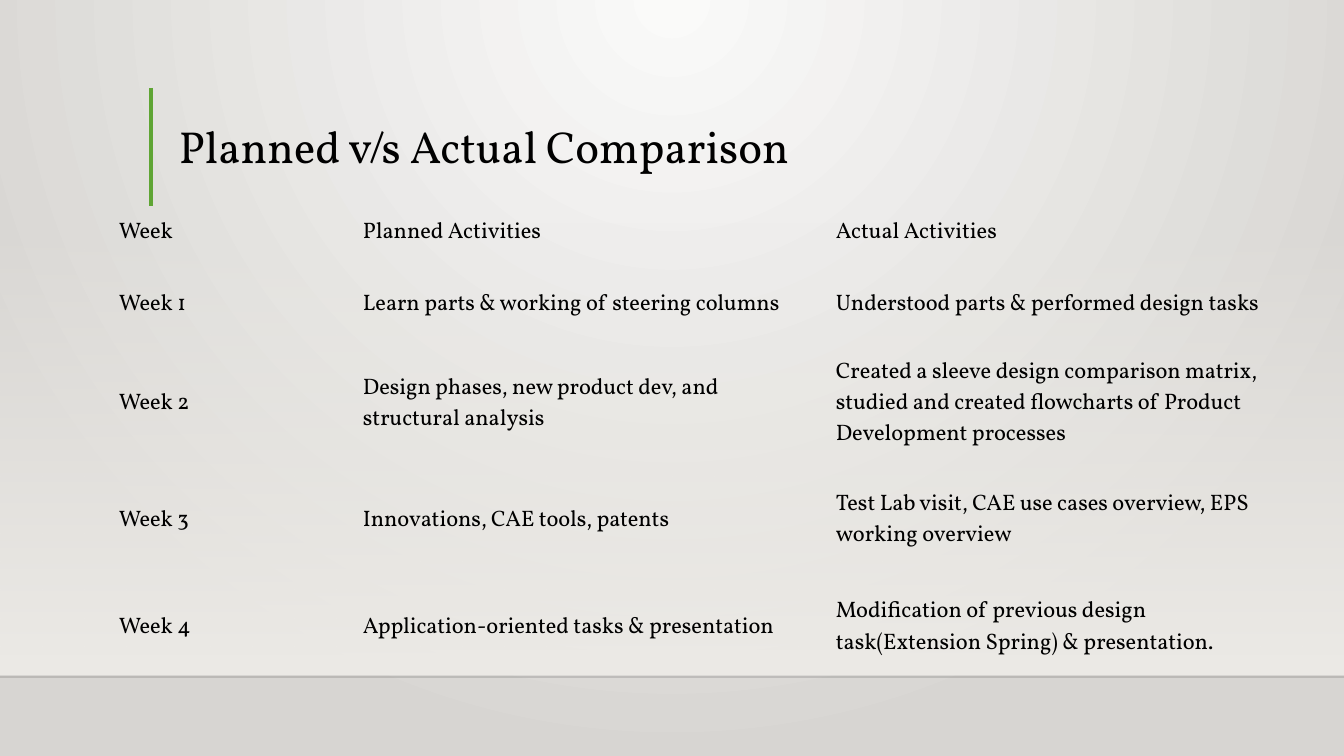
"""Build the slide that compares planned and actual weekly activities."""
from lxml import etree
from pptx import Presentation
from pptx.dml.color import RGBColor
from pptx.enum.shapes import MSO_CONNECTOR, MSO_SHAPE
from pptx.enum.text import MSO_ANCHOR
from pptx.oxml.ns import qn
from pptx.util import Emu, Pt

TITLE = "Planned v/s Actual Comparison"
ROWS = [
    ("Week", "Planned Activities", "Actual Activities"),
    ("Week 1", "Learn parts & working of steering columns",
     "Understood parts & performed design tasks"),
    ("Week 2", "Design phases, new product dev, and structural analysis",
     "Created a sleeve design comparison matrix, studied and created "
     "flowcharts of Product Development processes"),
    ("Week 3", "Innovations, CAE tools, patents",
     "Test Lab visit, CAE use cases overview, EPS working overview"),
    ("Week 4", "Application-oriented tasks & presentation",
     "Modification of previous design task(Extension Spring) & presentation."),
]
WIDTHS = (244, 473, 450)
HEIGHTS = (54, 90, 108, 125, 90)

WIDE, HIGH = 1344, 756
SCALE = 12192000 / WIDE
FONT = "Vollkorn"
PLAIN = "{2D5ABB26-0587-4C30-8999-92F81FD0307C}"
BLACK = RGBColor(0, 0, 0)
FLOOR = RGBColor(0, 0, 1)
GREEN = RGBColor(0x5F, 0xA5, 0x34)
LIGHT = RGBColor(0xFA, 0xFA, 0xF9)
GREY = RGBColor(0xD7, 0xD5, 0xD2)
HAZE = RGBColor(0xED, 0xEB, 0xE7)
STRAIGHT = MSO_CONNECTOR.STRAIGHT
RECT = MSO_SHAPE.RECTANGLE
MIDDLE, BOTTOM = MSO_ANCHOR.MIDDLE, MSO_ANCHOR.BOTTOM


def px(n):
    return Emu(round(n * SCALE))


def blend(fill, first, last):
    fill.gradient()
    for stop, tint, place in zip(fill.gradient_stops, (first, last), (0, 1)):
        stop.color.rgb = tint
        stop.position = place


def fade(node, share):
    tint = next(node.iter(qn("a:srgbClr")))
    etree.SubElement(tint, qn("a:alpha"), val=str(share * 1000))


def paint(slide):
    fill = slide.background.fill
    blend(fill, LIGHT, GREY)
    grad = next(slide.element.iter(qn("a:gradFill")))
    grad.remove(grad.find(qn("a:lin")))
    ring = etree.SubElement(grad, qn("a:path"), path="circle")
    etree.SubElement(ring, qn("a:fillToRect"),
                     l="43000", t="0", r="43000", b="100000")


def add_haze(slide):
    haze = slide.shapes.add_shape(RECT, 0, px(222), px(WIDE), px(453))
    haze.shadow.inherit = False
    haze.line.fill.background()
    blend(haze.fill, HAZE, HAZE)
    haze.fill.gradient_angle = 270
    fade(haze.element.spPr, 0)


def add_line(slide, ends, tint, width):
    line = slide.shapes.add_connector(STRAIGHT, *map(px, ends))
    line.line.color.rgb = tint
    line.line.width = Pt(width)
    etree.SubElement(line.element.spPr, qn("a:effectLst"))
    return line


def style(frame, size):
    font = frame.paragraphs[0].runs[0].font
    font.name, font.size = FONT, Pt(size)
    font.color.rgb = BLACK


def add_title(slide):
    box = slide.shapes.add_textbox(px(169), px(62), px(1049), px(116))
    frame = box.text_frame
    frame.word_wrap = True
    frame.vertical_anchor = BOTTOM
    frame.text = TITLE
    frame.paragraphs[0].line_spacing = 0.9
    style(frame, 32)


def add_plan(slide):
    frame = slide.shapes.add_table(
        len(ROWS), len(WIDTHS), px(111), px(206),
        px(sum(WIDTHS)), px(sum(HEIGHTS)))
    table = frame.table
    table.first_row = table.horz_banding = False
    next(table._tbl.iter(qn("a:tableStyleId"))).text = PLAIN
    for col, width in zip(table.columns, WIDTHS):
        col.width = px(width)
    for row, height, texts in zip(table.rows, HEIGHTS, ROWS):
        row.height = px(height)
        for cell, text in zip(row.cells, texts):
            cell.fill.background()
            cell.margin_left = cell.margin_right = px(8)
            cell.margin_top = cell.margin_bottom = px(4)
            cell.vertical_anchor = MIDDLE
            cell.text_frame.text = text
            style(cell.text_frame, 16)


def main():
    deck = Presentation()
    deck.slide_width, deck.slide_height = px(WIDE), px(HIGH)
    slide = deck.slides.add_slide(deck.slide_layouts[6])
    paint(slide)
    add_haze(slide)
    floor = add_line(slide, (0, 677, WIDE, 677), FLOOR, 1)
    fade(floor.element.spPr, 20)
    add_line(slide, (151, 88, 151, 206), GREEN, 3)
    add_title(slide)
    add_plan(slide)
    deck.save("out.pptx")


if __name__ == "__main__":
    main()
